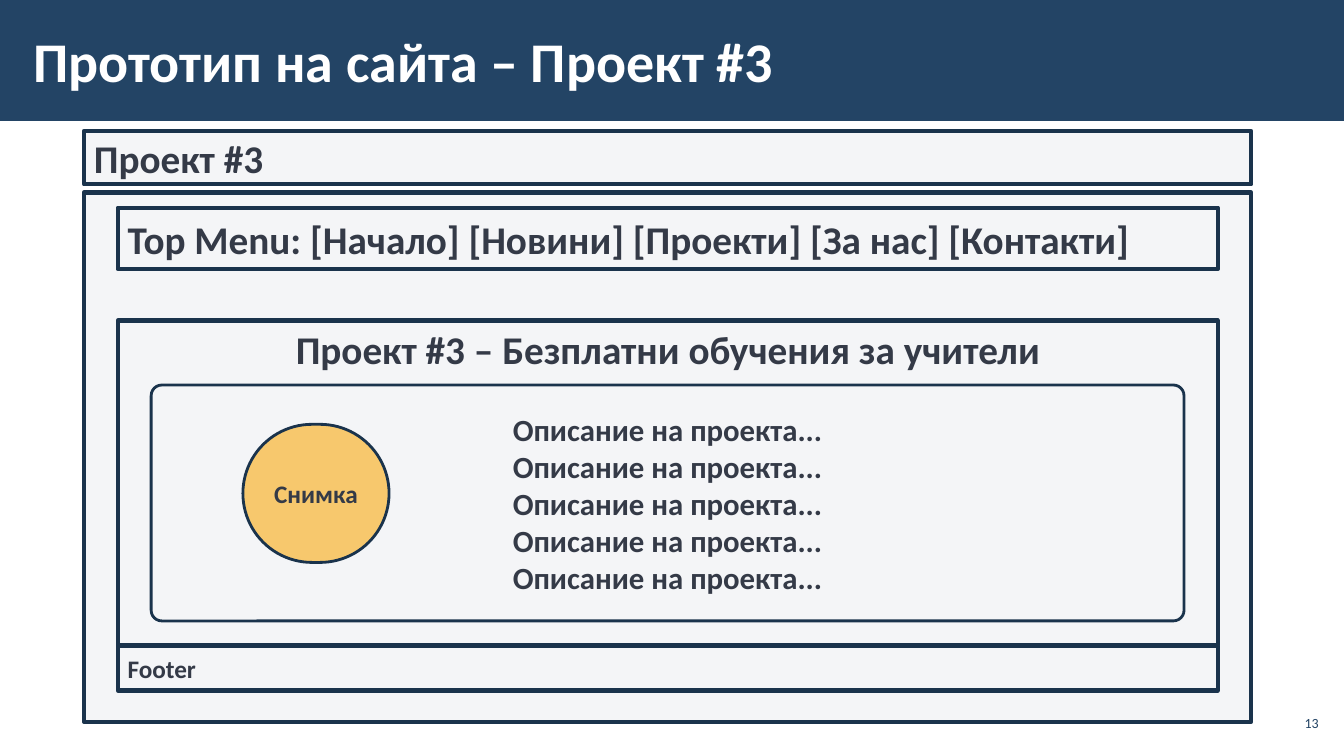
from dataclasses import dataclass

from pptx import Presentation
from pptx.dml.color import RGBColor
from pptx.enum.shapes import MSO_SHAPE
from pptx.enum.text import MSO_ANCHOR, PP_ALIGN
from pptx.util import Inches, Pt

RECT, ROUND = MSO_SHAPE.RECTANGLE, MSO_SHAPE.ROUNDED_RECTANGLE
LEFT, MID, RIGHT = PP_ALIGN.LEFT, PP_ALIGN.CENTER, PP_ALIGN.RIGHT
TOP, CENTER = MSO_ANCHOR.TOP, MSO_ANCHOR.MIDDLE

WIDTH, HEIGHT = 13.33, 7.5
COLS, ROWS = 40, 75
SPAN = 39.74  # left and right insets of a panel are taken from this many columns


@dataclass(frozen=True)
class Theme:
    font: str = "Calibri"
    bar: str = "234465"
    panel: str = "F4F5F7"
    edge: str = "1A334C"
    ink: str = "343A47"
    photo: str = "F7C86D"
    light: str = "FFFFFF"
    title: int = 40
    head: int = 28
    body: int = 22
    small: int = 18
    number: int = 10
    thick: int = 3
    thin: int = 2


class Page:
    def __init__(self, slide, theme):
        self.slide, self.theme = slide, theme

    def area(self, col, row, cols, rows):
        """Turn a grid area into left, top, width and height."""
        wide, high = WIDTH / COLS, HEIGHT / ROWS
        return [Inches(n) for n in (col * wide, row * high, cols * wide, rows * high)]

    def letter(self, shape, lines, size, color, align=LEFT, anchor=CENTER,
               bold=True, pad=(0.1, 0.05)):
        """Set the lines as paragraphs of the shape."""
        frame = shape.text_frame
        side, edge = map(Inches, pad)
        layout = {"word_wrap": True, "vertical_anchor": anchor,
                  "margin_left": side, "margin_right": side,
                  "margin_top": edge, "margin_bottom": edge}
        for name, value in layout.items():
            setattr(frame, name, value)
        style = {"name": self.theme.font, "size": Pt(size), "bold": bold}
        for i, line in enumerate(lines):
            para = frame.add_paragraph() if i else frame.paragraphs[0]
            para.alignment = align
            run = para.add_run()
            run.text = line
            for name, value in style.items():
                setattr(run.font, name, value)
            run.font.color.rgb = RGBColor.from_string(color)

    def label(self, area, text, size, color, **form):
        box = self.slide.shapes.add_textbox(*self.area(*area))
        self.letter(box, [text], size, color, **form)

    def block(self, area, fill, line=0, kind=RECT, bend=None):
        shape = self.slide.shapes.add_shape(kind, *self.area(*area))
        shape.shadow.inherit = False
        shape.fill.solid()
        shape.fill.fore_color.rgb = RGBColor.from_string(fill)
        if line:
            shape.line.color.rgb = RGBColor.from_string(self.theme.edge)
            shape.line.width = Pt(line)
        else:
            shape.line.fill.background()
        if bend is not None:
            shape.adjustments[0] = bend
        return shape

    def panel(self, inset, row, rows, lines=(), size=0, line=None,
              kind=RECT, bend=None, **form):
        """Draw a wireframe box, inset by the same columns on both sides."""
        area = inset, row, SPAN - 2 * inset, rows
        shape = self.block(area, self.theme.panel, line or self.theme.thick, kind, bend)
        self.letter(shape, lines, size, self.theme.ink, **form)


def main():
    deck = Presentation()
    deck.slide_width, deck.slide_height = Inches(WIDTH), Inches(HEIGHT)
    theme = Theme()
    page = Page(deck.slides.add_slide(deck.slide_layouts[6]), theme)

    page.block((0, 0, COLS, 12), theme.bar)
    page.label((37.96, 70, 1.41, 3.4), "13", theme.number, theme.bar,
               align=RIGHT, bold=False, pad=(0.04, 0.04))
    page.label((0.63, 1.1, 31.18, 9.7), "Прототип на сайта – Проект #3",
               theme.title, theme.light, pad=(0.12, 0.04))

    page.panel(2.5, 13, 5.3, ["Проект #3"], theme.head)
    page.panel(2.5, 19.1, 52.5)
    page.panel(3.5, 20.6, 6.1,
               ["Top Menu: [Начало] [Новини] [Проекти] [За нас] [Контакти]"], theme.head)
    page.panel(3.5, 64.1, 4.4, ["Footer"], theme.small)
    page.panel(3.5, 31.8, 32.2, ["Проект #3 – Безплатни обучения за учители"],
               theme.head, align=MID, anchor=TOP)
    page.panel(4.5, 38.2, 23.4, ["Описание на проекта..."] * 5, theme.body,
               line=theme.thin, kind=ROUND, bend=0.045, align=MID)

    photo = page.block((7.23, 42.1, 4.35, 13.7), theme.photo, theme.thin, ROUND, 0.5)
    page.letter(photo, ["Снимка"], theme.small, theme.ink, align=MID)

    deck.save("out.pptx")


if __name__ == "__main__":
    main()
